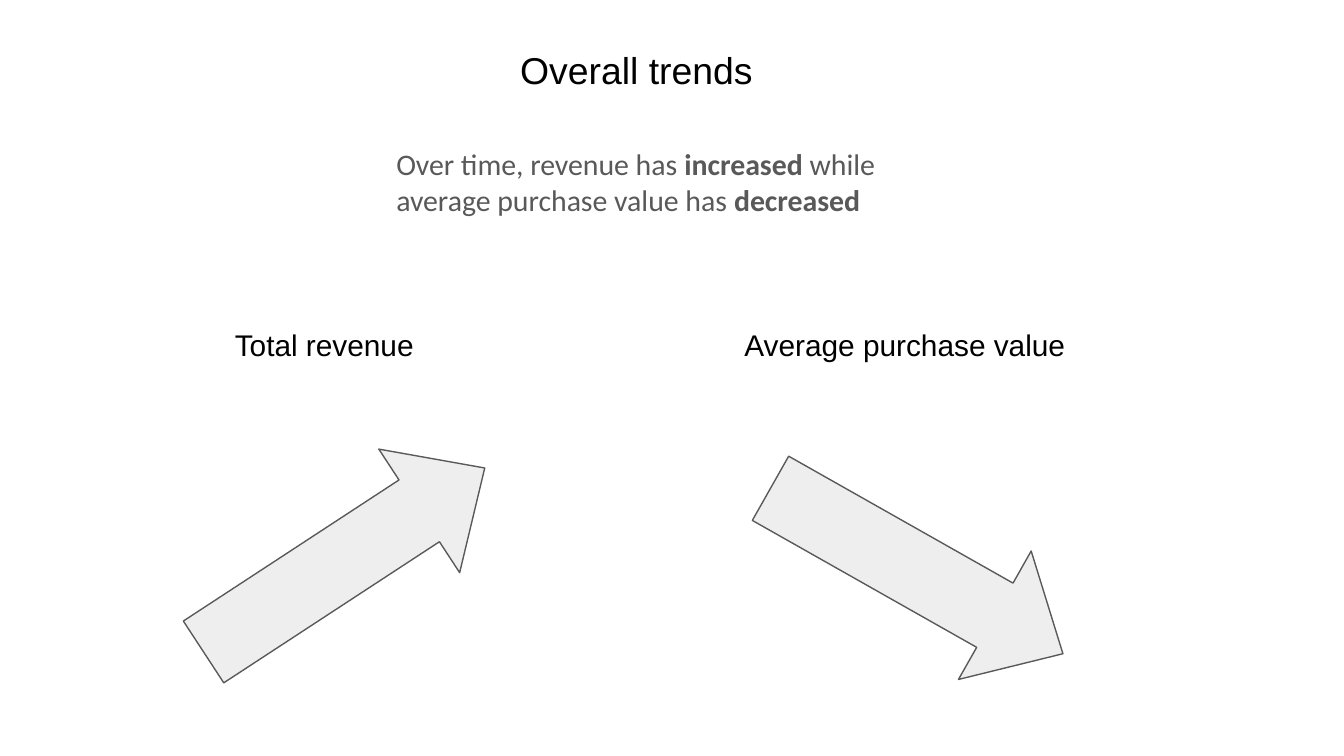
from dataclasses import dataclass

from pptx import Presentation
from pptx.dml.color import RGBColor
from pptx.enum.shapes import MSO_SHAPE
from pptx.enum.text import MSO_AUTO_SIZE
from pptx.util import Cm, Pt


@dataclass(frozen=True)
class Theme:
    ink: RGBColor = RGBColor(0x00, 0x00, 0x00)
    gray: RGBColor = RGBColor(0x59, 0x59, 0x59)
    pale: RGBColor = RGBColor(0xEE, 0xEE, 0xEE)
    head: Pt = Pt(20)
    body: Pt = Pt(16)
    line: Pt = Pt(0.75)
    sans: str = "Arial"
    soft: str = "Calibri"


LOOK = Theme()
TITLE = {"name": LOOK.sans, "size": LOOK.head}
LABEL = {"name": LOOK.sans, "size": LOOK.body}
BODY = {"name": LOOK.soft, "size": LOOK.body}
PAD = Cm(0.25)
FRAME = {
    "word_wrap": True,
    "auto_size": MSO_AUTO_SIZE.SHAPE_TO_FIT_TEXT,
    "margin_left": PAD,
    "margin_right": PAD,
    "margin_top": PAD,
    "margin_bottom": PAD,
}


def apply(item, form):
    for key, value in form.items():
        setattr(item, key, value)


def add_text(slide, area, parts, form, color=LOOK.ink):
    frame = slide.shapes.add_textbox(*map(Cm, area)).text_frame
    apply(frame, FRAME)
    for words, bold in parts:
        run = frame.paragraphs[0].add_run()
        run.text = words
        apply(run.font, {**form, "bold": bold})
        run.font.color.rgb = color


def add_arrow(slide, left, top, angle):
    area = map(Cm, (left, top, 6.35, 2.79))
    arrow = slide.shapes.add_shape(MSO_SHAPE.RIGHT_ARROW, *area)
    arrow.adjustments[1] = 0.53
    arrow.rotation = angle
    arrow.shadow.inherit = False
    arrow.fill.solid()
    arrow.fill.fore_color.rgb = LOOK.pale
    arrow.line.color.rgb = LOOK.gray
    arrow.line.width = LOOK.line


def main():
    deck = Presentation()
    apply(deck, {"slide_width": Cm(25.4), "slide_height": Cm(14.29)})
    slide = deck.slides.add_slide(deck.slide_layouts[6])

    claim = [
        ("Over time, revenue has ", False),
        ("increased", True),
        (" while average purchase value has ", False),
        ("decreased", True),
    ]
    add_text(slide, (7.24, 2.51, 9.93, 1.88), claim, BODY, LOOK.gray)

    for left, top, angle in [(3.33, 9.19, 326.8), (14.15, 9.4, 29.5)]:
        add_arrow(slide, left, top, angle)

    for words, left, width in [
        ("Total revenue", 4.19, 3.92),
        ("Average purchase value", 13.82, 6.83),
    ]:
        add_text(slide, (left, 5.92, width, 1.19), [(words, False)], LABEL)

    add_text(slide, (9.58, 0.64, 5.26, 1.37), [("Overall trends", False)], TITLE)
    deck.save("out.pptx")


if __name__ == "__main__":
    main()
